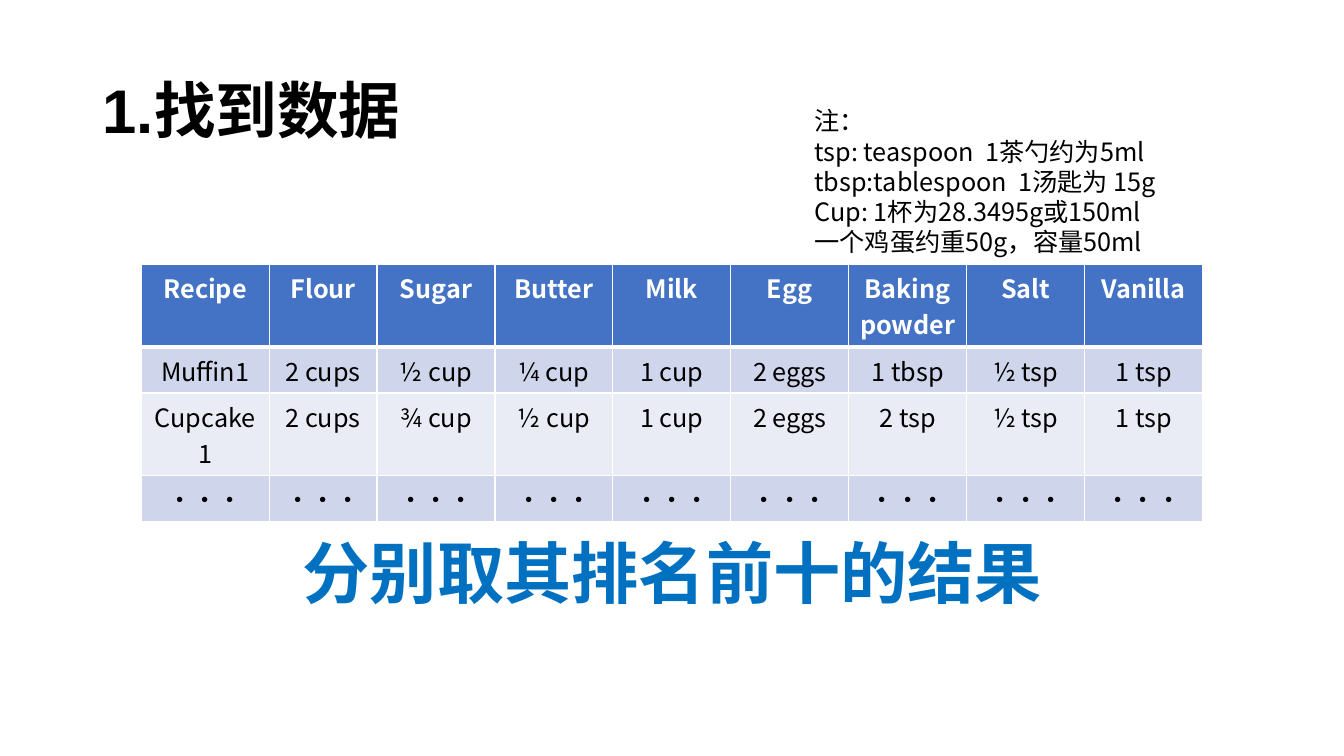
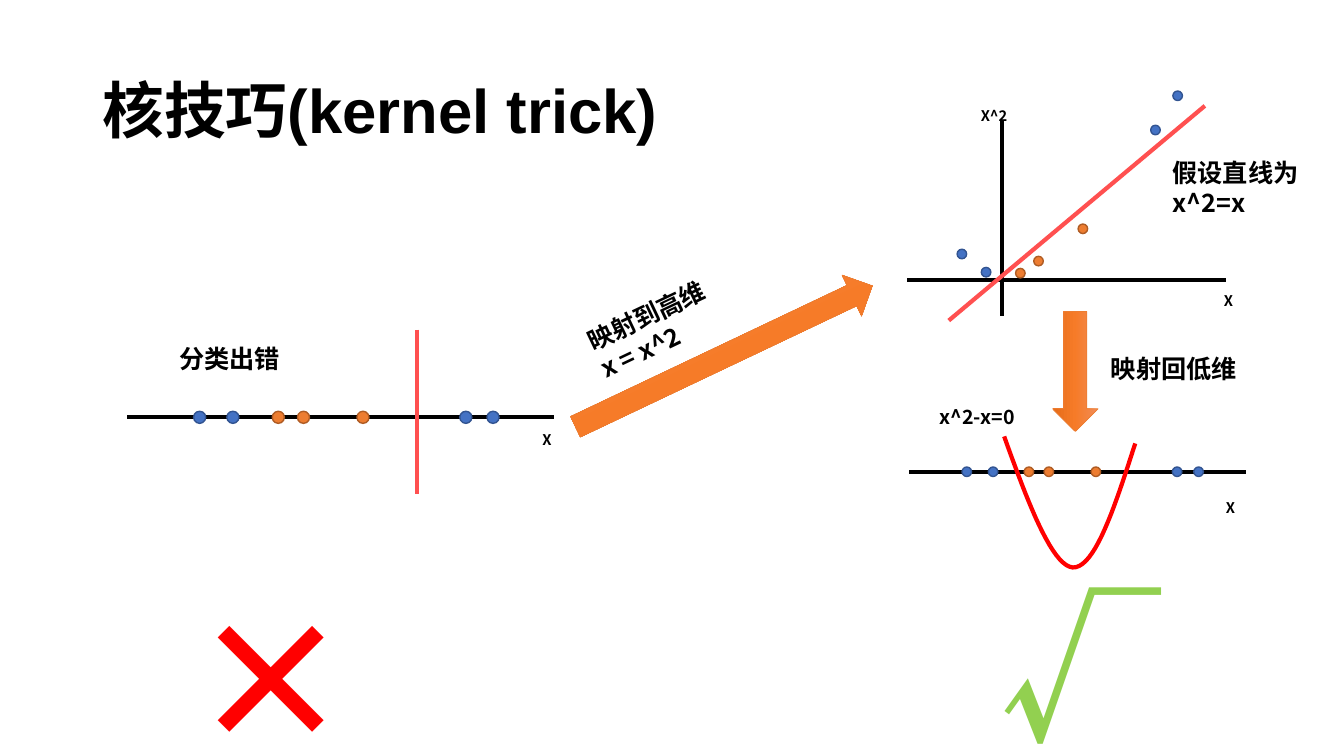
from copy import deepcopy
from dataclasses import dataclass

from lxml.etree import SubElement
from pptx import Presentation
from pptx.dml.color import RGBColor as Rgb
from pptx.enum.shapes import MSO_CONNECTOR as Link, MSO_SHAPE as Preset
from pptx.enum.text import MSO_ANCHOR as Anchor, PP_ALIGN as Align
from pptx.oxml.ns import qn
from pptx.util import Inches, Pt


@dataclass(frozen=True)
class Theme:
    """Colours, fonts and sizes that both slides share."""

    black: str = "000000"
    white: str = "FFFFFF"
    blue: str = "4472C4"
    blue_edge: str = "325491"
    orange: str = "ED7D31"
    orange_edge: str = "AF5C24"
    boundary: str = "FF5050"
    red: str = "FF0000"
    green: str = "92D050"
    conclusion: str = "0070C0"
    bands: tuple = ("CFD5EA", "E9EBF5")
    arrow_stops: tuple = ((0, "F18C57"), (0.5, "F67B28"), (1, "E56C19"))
    title_font: str = "Arial"
    font: str = "Noto Sans CJK SC"
    title: float = 44
    headline: float = 48
    mark: float = 115
    body: float = 18
    formula: float = 14
    label: float = 10.5
    stroke: float = 3
    hairline: float = 1


THEME = Theme()
SLIDE = (13.33, 7.5)

RECIPES = [
    ("Recipe", "Flour", "Sugar", "Butter", "Milk", "Egg", "Baking powder", "Salt", "Vanilla"),
    ("Muffin1", "2 cups", "½ cup", "¼ cup", "1 cup", "2 eggs", "1 tbsp", "½ tsp", "1 tsp"),
    ("Cupcake1", "2 cups", "¾ cup", "½ cup", "1 cup", "2 eggs", "2 tsp", "½ tsp", "1 tsp"),
    ("···",) * 9,
]
COLUMN_WIDTHS = [1.27, 1.07] + [1.17] * 7
ROW_HEIGHTS = [0.82, 0.46] * 2
UNITS = [
    "注：",
    "tsp: teaspoon  1茶勺约为5ml",
    "tbsp:tablespoon  1汤匙为 15g",
    "Cup: 1杯为28.3495g或150ml",
    "一个鸡蛋约重50g，容量50ml",
]

AXIS_LENGTH = 4.23
DOT = 0.12
SMALL = 0.79
BLUE_SAMPLES = [0.72, 1.05, 3.36, 3.63]
ORANGE_SAMPLES = [1.5, 1.75, 2.34]
BLUE_MAPPED = [(9.54, 2.52), (9.78, 2.7), (11.46, 1.29), (11.68, 0.95)]
ORANGE_MAPPED = [(10.12, 2.71), (10.3, 2.59), (10.74, 2.27)]
PARABOLA = [
    [(9.96, 4.33), (10.19, 4.97), (10.43, 5.61), (10.64, 5.63)],
    [(10.64, 5.63), (10.86, 5.64), (11.06, 5.02), (11.26, 4.4)],
]
TILT = 334.6
CAPTIONS = [
    (["分类出错"], (1.68, 3.36, 1.94, 0.4), {}),
    (["映射到高维", "x = x^2"], (5.73, 2.81, 1.94, 0.71), {"rotation": TILT}),
    (["假设直线为x^2=x"], (11.53, 1.51, 1.46, 0.55), {}),
    (["映射回低维"], (10.92, 3.46, 1.94, 0.4), {}),
    (["x^2-x=0"], (9.22, 3.97, 1.45, 0.34), {"size": THEME.formula}),
    (["X"], (5.28, 4.22, 0.71, 0.29), {"size": THEME.label}),
    (["X^2"], (9.63, 1.01, 0.53, 0.22), {"size": THEME.label}),
    (["X"], (12.04, 2.85, 0.53, 0.22), {"size": THEME.label}),
    (["X"], (12.06, 4.9, 0.71, 0.29), {"size": THEME.label}),
    (["×"], (1.79, 5.7, 1.94, 2.04), {"size": THEME.mark, "color": THEME.red}),
    (["√"], (9.82, 5.59, 1.94, 2.04), {"size": THEME.mark, "color": THEME.green}),
]


def write(frame, lines, size=THEME.body, color=THEME.black, bold=False,
          align=Align.LEFT, font=THEME.font, spacing=None):
    for index, line in enumerate(lines):
        para = frame.add_paragraph() if index else frame.paragraphs[0]
        para.alignment, para.line_spacing = align, spacing
        span = para.add_run()
        span.text = line
        span.font.size, span.font.bold, span.font.name = Pt(size), bold, font
        span.font.color.rgb = Rgb.from_string(color)
        SubElement(span.font._element, qn("a:ea")).set("typeface", THEME.font)


def add_text(page, lines, area, rotation=0, anchor=Anchor.TOP, **style):
    box = page.shapes.add_textbox(*map(Inches, area))
    box.rotation = rotation
    box.text_frame.word_wrap = True
    box.text_frame.vertical_anchor = anchor
    write(box.text_frame, lines, **style)


def add_page(deck, title):
    page = deck.slides.add_slide(deck.slide_layouts[6])
    add_text(page, [title], (0.92, 0.4, 11.5, 1.45), anchor=Anchor.MIDDLE,
             size=THEME.title, font=THEME.title_font, bold=True, spacing=0.9)
    return page


def paint_line(shape, color, width):
    shape.line.color.rgb = Rgb.from_string(color)
    shape.line.width = Pt(width)


def add_line(page, start, end, color=THEME.black):
    line = page.shapes.add_connector(Link.STRAIGHT, *map(Inches, start + end))
    paint_line(line, color, THEME.stroke)
    SubElement(line._element.spPr, qn("a:effectLst"))


def add_dots(page, centers, diameter, fill, edge):
    for x, y in centers:
        area = (x - diameter / 2, y - diameter / 2, diameter, diameter)
        dot = page.shapes.add_shape(Preset.OVAL, *map(Inches, area))
        dot.shadow.inherit = False
        dot.fill.solid()
        dot.fill.fore_color.rgb = Rgb.from_string(fill)
        paint_line(dot, edge, THEME.hairline)


def add_both_classes(page, blues, oranges, diameter):
    add_dots(page, blues, diameter, THEME.blue, THEME.blue_edge)
    add_dots(page, oranges, diameter, THEME.orange, THEME.orange_edge)


def add_sample_axis(page, left, y, scale=1):
    add_line(page, (left, y), (left + AXIS_LENGTH * scale, y))
    blues, oranges = (
        [(left + offset * scale, y) for offset in samples]
        for samples in (BLUE_SAMPLES, ORANGE_SAMPLES)
    )
    add_both_classes(page, blues, oranges, DOT * scale)


def add_arrow(page, area, rotation):
    arrow = page.shapes.add_shape(Preset.RIGHT_ARROW, *map(Inches, area))
    arrow.rotation = rotation
    arrow.shadow.inherit = False
    arrow.fill.gradient()
    arrow.fill.gradient_angle = 270
    stops = arrow._element.spPr.find(f".//{qn('a:gsLst')}")
    stops.append(deepcopy(stops[0]))
    for stop, (position, color) in zip(arrow.fill.gradient_stops, THEME.arrow_stops):
        stop.position = position
        stop.color.rgb = Rgb.from_string(color)
    paint_line(arrow, THEME.orange, 0.5)


def bezier(controls, steps=20):
    for step in range(steps + 1):
        t = step / steps
        weights = ((1 - t) ** 3, 3 * t * (1 - t) ** 2, 3 * t * t * (1 - t), t ** 3)
        yield tuple(sum(w * point[axis] for w, point in zip(weights, controls))
                    for axis in (0, 1))


def add_parabola(page):
    points = [tuple(map(Inches, point)) for part in PARABOLA for point in bezier(part)]
    builder = page.shapes.build_freeform(*points[0])
    builder.add_line_segments(points[1:], close=False)
    curve = builder.convert_to_shape()
    curve.shadow.inherit = False
    curve.fill.background()
    paint_line(curve, THEME.red, THEME.stroke)


def set_borders(cell, top, bottom):
    props = cell._tc.get_or_add_tcPr()
    widths = {"lnL": 1, "lnR": 1, "lnT": top, "lnB": bottom}
    for index, (side, width) in enumerate(widths.items()):
        border = props.makeelement(qn(f"a:{side}"), {"w": str(Pt(width))})
        fill = SubElement(border, qn("a:solidFill"))
        SubElement(fill, qn("a:srgbClr")).set("val", THEME.white)
        props.insert(index, border)


def add_recipe_table(page):
    area = (1.4, 2.62, sum(COLUMN_WIDTHS), sum(ROW_HEIGHTS))
    table = page.shapes.add_table(
        len(RECIPES), len(COLUMN_WIDTHS), *map(Inches, area)).table
    for column, width in zip(table.columns, COLUMN_WIDTHS):
        column.width = Inches(width)
    for index, (row, height, values) in enumerate(zip(table.rows, ROW_HEIGHTS, RECIPES)):
        header = index == 0
        row.height = Inches(height)
        for cell, value in zip(row.cells, values):
            cell.fill.solid()
            cell.fill.fore_color.rgb = Rgb.from_string(
                THEME.blue if header else THEME.bands[(index - 1) % 2])
            set_borders(cell, 3 if index == 1 else 1, 3 if header else 1)
            write(cell.text_frame, [value], align=Align.CENTER, bold=header,
                  color=THEME.white if header else THEME.black)


def build_data_page(deck):
    page = add_page(deck, "1.找到数据")
    add_recipe_table(page)
    add_text(page, UNITS, (7.98, 1, 3.99, 1.62))
    add_text(page, ["分别取其排名前十的结果"], (2.55, 5.22, 8.24, 0.91), bold=True,
             size=THEME.headline, color=THEME.conclusion, align=Align.CENTER)


def build_kernel_page(deck):
    page = add_page(deck, "核技巧(kernel trick)")
    add_sample_axis(page, 1.26, 4.14)
    add_line(page, (4.14, 3.27), (4.14, 4.9), THEME.boundary)
    add_arrow(page, (5.55, 3.31, 3.26, 0.45), TILT)
    add_line(page, (9, 2.78), (12.16, 2.78))
    add_both_classes(page, BLUE_MAPPED, ORANGE_MAPPED, DOT * SMALL)
    add_line(page, (9.94, 1.2), (9.94, 3.14))
    add_line(page, (11.95, 1.05), (9.41, 3.18), THEME.boundary)
    add_sample_axis(page, 9.02, 4.68, SMALL)
    add_parabola(page)
    add_arrow(page, (10.07, 3.46, 1.19, 0.45), 90)
    for lines, area, style in CAPTIONS:
        add_text(page, lines, area, bold=True, **style)


def main():
    """Build the recipe data and kernel trick slides."""
    deck = Presentation()
    deck.slide_width, deck.slide_height = map(Inches, SLIDE)
    build_data_page(deck)
    build_kernel_page(deck)
    deck.save("out.pptx")


if __name__ == "__main__":
    main()
